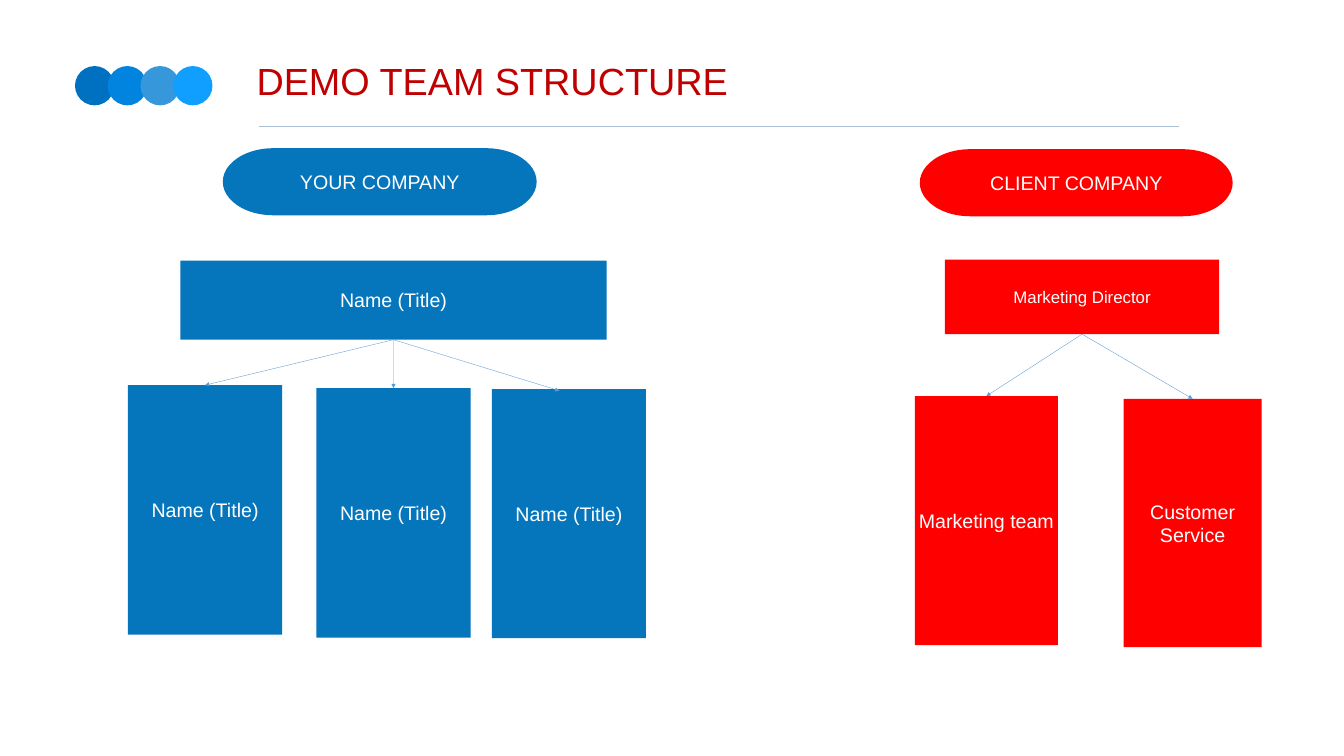
from pptx import Presentation
from pptx.dml.color import RGBColor
from pptx.enum.shapes import MSO_CONNECTOR, MSO_SHAPE
from pptx.enum.text import MSO_ANCHOR, PP_ALIGN
from pptx.oxml.ns import qn
from pptx.util import Cm, Pt
from lxml.etree import SubElement


def rgb(color):
    return RGBColor.from_string(color)


def add_line(start, end, color, width):
    c = s.shapes.add_connector(MSO_CONNECTOR.STRAIGHT, *map(Cm, start + end))
    c.line.color.rgb = rgb(color)
    c.line.width = Pt(width)
    SubElement(c._element.spPr, qn("a:effectLst"))
    return c


prs = Presentation()
prs.slide_width = Cm(67.74)
prs.slide_height = Cm(38.1)
s = prs.slides.add_slide(prs.slide_layouts[6])

for i, color in enumerate(["0070C0", "0084DF", "3698DA", "119FFF"]):
    sp = s.shapes.add_shape(MSO_SHAPE.OVAL, Cm(3.78 + 1.65 * i), Cm(3.33), Cm(1.98), Cm(1.98))
    sp.shadow.inherit = False
    sp.fill.solid()
    sp.fill.fore_color.rgb = rgb(color)
    sp.line.fill.background()

add_line((13.03, 6.38), (59.44, 6.38), "ACC0D4", 2)

tf = s.shapes.add_textbox(Cm(12.78), Cm(2.77), Cm(51.13), Cm(3.15)).text_frame
tf.word_wrap = True
tf.margin_left = tf.margin_right = tf.margin_top = tf.margin_bottom = Cm(0.15)
p = tf.paragraphs[0]
p.text = "DEMO TEAM STRUCTURE"
p.font.name = "Arial"
p.font.size = Pt(54)
p.font.color.rgb = rgb("C00000")

BLUE, RED = "0576BC", "FF0000"
PILL, RECT = MSO_SHAPE.FLOWCHART_TERMINATOR, MSO_SHAPE.RECTANGLE
boxes = [
    ("your company", PILL, "YOUR COMPANY", 11.23, 7.47, 15.82, 3.38, BLUE, 28, 0.25),
    ("lead", RECT, "Name (Title)", 9.09, 13.13, 21.49, 3.99, BLUE, 28, 0.25),
    ("member left", RECT, "Name (Title)", 6.45, 19.41, 7.77, 12.57, BLUE, 28, 0.25),
    ("member middle", RECT, "Name (Title)", 15.95, 19.56, 7.77, 12.57, BLUE, 28, 0.25),
    ("member right", RECT, "Name (Title)", 24.79, 19.61, 7.77, 12.55, BLUE, 28, 0.25),
    ("client company", PILL, "CLIENT COMPANY", 46.36, 7.52, 15.77, 3.38, RED, 28, 0.25),
    ("director", RECT, "Marketing Director", 47.63, 13.08, 13.82, 3.76, RED, 24, 0.25),
    ("marketing", RECT, "Marketing team", 46.11, 19.96, 7.21, 12.55, RED, 28, 0),
    ("service", RECT, "Customer Service", 56.63, 20.1, 6.96, 12.52, RED, 28, 0),
]
chart = {}
for role, kind, text, x, y, w, h, color, size, inset in boxes:
    sp = s.shapes.add_shape(kind, Cm(x), Cm(y), Cm(w), Cm(h))
    sp.shadow.inherit = False
    sp.fill.solid()
    sp.fill.fore_color.rgb = rgb(color)
    sp.line.fill.background()
    tf = sp.text_frame
    tf.word_wrap = True
    tf.vertical_anchor = MSO_ANCHOR.MIDDLE
    tf.margin_left = tf.margin_right = Cm(inset)
    p = tf.paragraphs[0]
    p.text = text
    p.alignment = PP_ALIGN.CENTER
    p.font.name = "Arial"
    p.font.size = Pt(size)
    p.font.color.rgb = rgb("FFFFFF")
    chart[role] = sp

arrows = [
    ("lead", "member left"),
    ("lead", "member middle"),
    ("lead", None),
    ("director", "marketing"),
    ("director", "service"),
]
for boss, report in arrows:
    c = add_line((19.84, 17.12), (28.19, 19.69), "5B9BD5", 0.5)
    c.begin_connect(chart[boss], 2)
    if report:
        c.end_connect(chart[report], 0)
    SubElement(c._element.spPr.find(qn("a:ln")), qn("a:tailEnd"), type="triangle")

prs.save("out.pptx")
